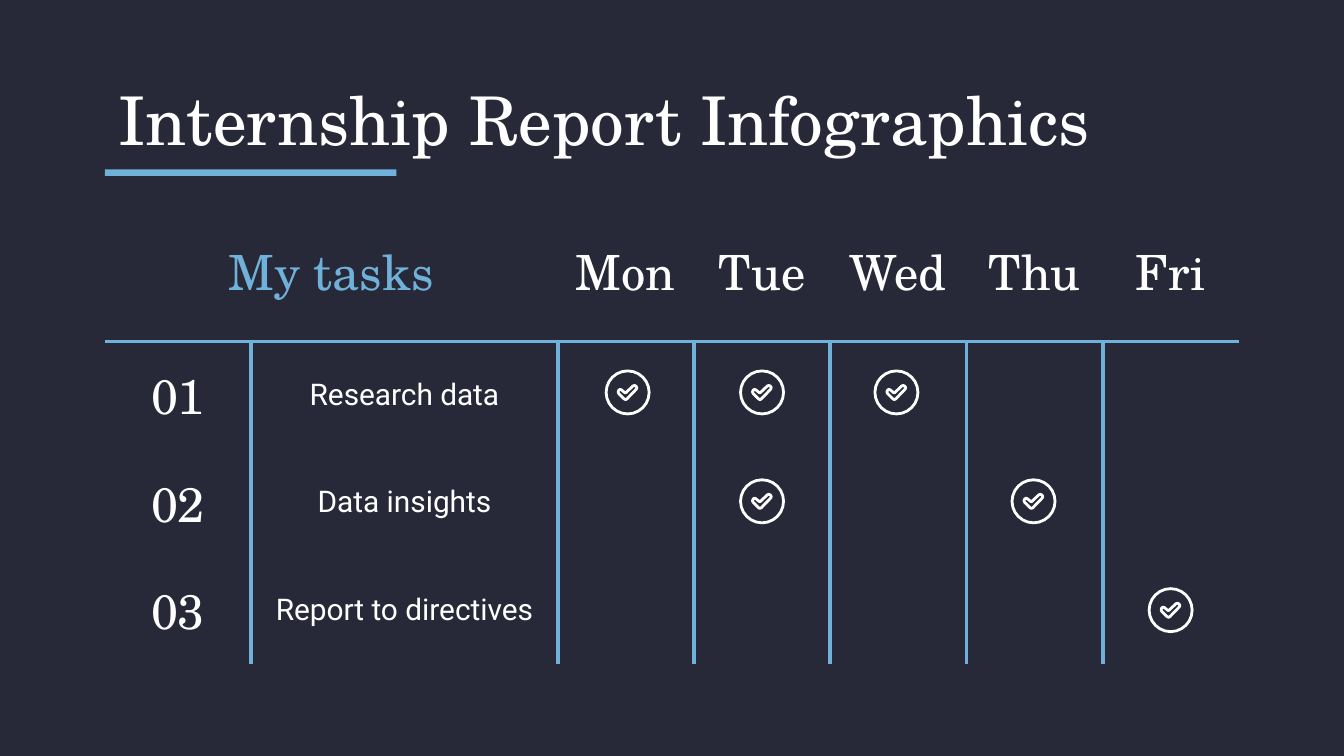
from dataclasses import dataclass

from pptx import Presentation
from pptx import util as u
from pptx.dml import color
from pptx.enum import shapes, text
from pptx.oxml import ns, xmlchemy


@dataclass(frozen=True)
class Theme:
    background: str = "282938"
    accent: str = "70B1DA"
    ink: str = "FFFFFF"
    serif: str = "TeX Gyre Schola"
    sans: str = "Roboto"
    title_size: int = 36
    heading_size: int = 26
    body_size: int = 16
    rule_width: float = 2.25
    icon_width: float = 1.5


THEME = Theme()
NO_STYLE = "{2D5ABB26-0587-4C30-8999-92F81FD0307C}"
LEFT = 0.78
WIDTH = 8.44
TABLE_TOP = 1.49
DAY_CENTERS = {"Mon": 4.67, "Tue": 5.67, "Wed": 6.67, "Thu": 7.69, "Fri": 8.71}
TASKS = [
    ("Research data", ["Mon", "Tue", "Wed"]),
    ("Data insights", ["Tue", "Thu"]),
    ("Report to directives", ["Fri"]),
]
TASK_COLUMNS = [1.09, 2.28]
DAY_WIDTH = (WIDTH - sum(TASK_COLUMNS)) / len(DAY_CENTERS)
COLUMNS = TASK_COLUMNS + [DAY_WIDTH] * len(DAY_CENTERS)
ROWS = [1.05] + [0.8] * len(TASKS)
CHECK_TOP = 2.92
CHECK_STEP = 0.81
CHECK_RADIUS = 0.16
TICK_THOUSANDTHS = [
    (50, -52), (61, -48), (68, -38), (67, -28), (60, -19),
    (-5, 48), (-15, 53), (-26, 48), (-66, 8), (-71, -4),
    (-66, -17), (-56, -23), (-46, -19), (-20, 2), (-14, 3), (40, -48),
]


def rgb(value):
    return color.RGBColor.from_string(value)


def write(frame, content, size=THEME.heading_size, font=THEME.serif,
          ink=THEME.ink, align=text.PP_ALIGN.CENTER):
    para = frame.paragraphs[0]
    para.alignment = align
    span = para.add_run()
    span.text = content
    span.font.size = u.Pt(size)
    span.font.name = font
    span.font.bold = False
    span.font.color.rgb = rgb(ink)


def add_title(page, content):
    box = page.shapes.title
    box.left, box.top, box.width, box.height = map(u.Inches, (LEFT, 0.59, WIDTH, 0.59))
    frame = box.text_frame
    frame.auto_size = text.MSO_AUTO_SIZE.NONE
    frame.vertical_anchor = text.MSO_ANCHOR.MIDDLE
    frame.margin_left = frame.margin_right = u.Inches(0.1)
    frame.margin_top = frame.margin_bottom = u.Inches(0.1)
    write(frame, content, size=THEME.title_size, align=text.PP_ALIGN.LEFT)


def add_underline(page):
    bar = page.shapes.add_shape(shapes.MSO_SHAPE.RECTANGLE, u.Inches(LEFT),
                                u.Inches(1.26), u.Inches(2.17), u.Inches(0.05))
    bar.shadow.inherit = False
    bar.fill.solid()
    bar.fill.fore_color.rgb = rgb(THEME.accent)
    bar.line.fill.background()


def add_border(cell, side, visible):
    line = xmlchemy.OxmlElement(f"a:ln{side}")
    line.set("w", str(u.Pt(THEME.rule_width)))
    if visible:
        fill = xmlchemy.OxmlElement("a:solidFill")
        tint = xmlchemy.OxmlElement("a:srgbClr")
        tint.set("val", THEME.accent)
        fill.append(tint)
    else:
        fill = xmlchemy.OxmlElement("a:noFill")
    line.append(fill)
    cell._tc.get_or_add_tcPr().append(line)


def visible_sides(row, column):
    if row == 0:
        return "B"
    sides = "L" if column > 0 else ""
    sides += "R" if column < len(COLUMNS) - 1 else ""
    return sides + ("T" if row == 1 else "")


def format_cell(cell, sides):
    for side in "LRTB":
        add_border(cell, side, side in sides)
    cell.fill.background()
    cell.vertical_anchor = text.MSO_ANCHOR.MIDDLE
    cell.margin_left = cell.margin_right = u.Inches(0.1)
    cell.margin_top = cell.margin_bottom = u.Inches(0.1)


def add_schedule(page):
    frame = page.shapes.add_table(
        len(ROWS), len(COLUMNS), u.Inches(LEFT), u.Inches(TABLE_TOP),
        u.Inches(WIDTH), u.Inches(sum(ROWS)))
    table = frame.table
    table.first_row = table.horz_banding = False
    table._tbl.tblPr.find(ns.qn("a:tableStyleId")).text = NO_STYLE
    for column, width in zip(table.columns, COLUMNS):
        column.width = u.Inches(width)
    for row, height in zip(table.rows, ROWS):
        row.height = u.Inches(height)
    for row in range(len(ROWS)):
        for column in range(len(COLUMNS)):
            format_cell(table.cell(row, column), visible_sides(row, column))

    table.cell(0, 0).merge(table.cell(0, 1))
    write(table.cell(0, 0).text_frame, "My tasks", ink=THEME.accent)
    for column, day in enumerate(DAY_CENTERS, len(TASK_COLUMNS)):
        write(table.cell(0, column).text_frame, day)
    for row, (task, _) in enumerate(TASKS, 1):
        write(table.cell(row, 0).text_frame, f"{row:02d}")
        write(table.cell(row, 1).text_frame, task, size=THEME.body_size, font=THEME.sans)


def outline(shape):
    shape.shadow.inherit = False
    shape.fill.background()
    shape.line.color.rgb = rgb(THEME.ink)
    shape.line.width = u.Pt(THEME.icon_width)


def add_check(page, x, y):
    group = page.shapes.add_group_shape()
    diameter = u.Inches(2 * CHECK_RADIUS)
    outline(group.shapes.add_shape(
        shapes.MSO_SHAPE.OVAL, u.Inches(x - CHECK_RADIUS),
        u.Inches(y - CHECK_RADIUS), diameter, diameter))
    start, *rest = TICK_THOUSANDTHS
    builder = group.shapes.build_freeform(*start, scale=u.Inches(1) / 1000)
    builder.add_line_segments(rest, close=True)
    outline(builder.convert_to_shape(u.Inches(x), u.Inches(y)))


def add_checks(page):
    for row, (_, days) in enumerate(TASKS):
        for day in days:
            add_check(page, DAY_CENTERS[day], CHECK_TOP + row * CHECK_STEP)


def main():
    deck = Presentation()
    deck.slide_width = u.Inches(10)
    deck.slide_height = deck.slide_width * 9 // 16
    page = deck.slides.add_slide(deck.slide_layouts.get_by_name("Title Only"))
    page.background.fill.solid()
    page.background.fill.fore_color.rgb = rgb(THEME.background)
    add_underline(page)
    add_title(page, "Internship Report Infographics")
    add_schedule(page)
    add_checks(page)
    deck.save("out.pptx")


if __name__ == "__main__":
    main()
